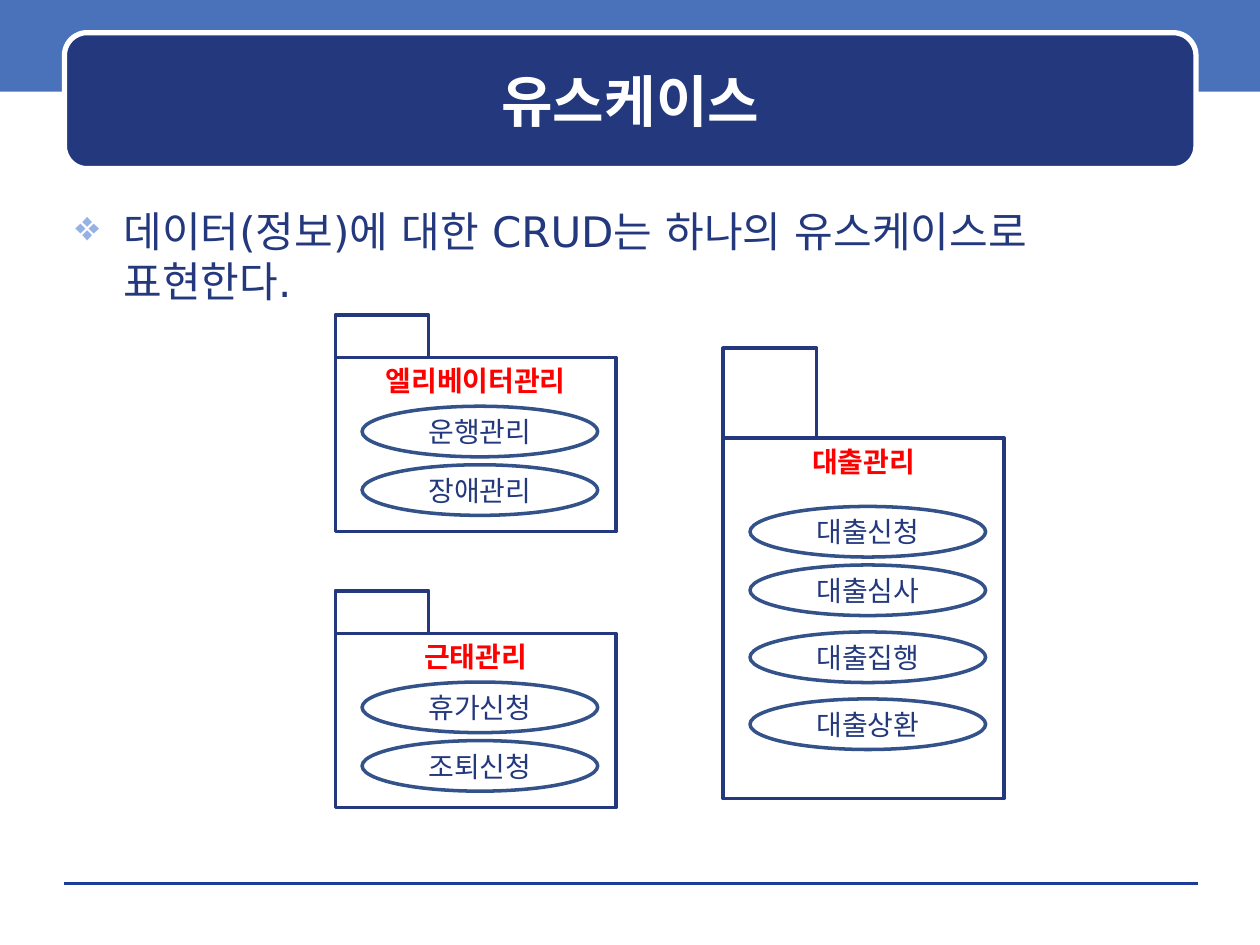
from dataclasses import dataclass

from lxml.etree import SubElement
from pptx import Presentation
from pptx.dml.color import RGBColor
from pptx.enum.shapes import MSO_CONNECTOR, MSO_SHAPE
from pptx.enum.text import MSO_ANCHOR as Anchor, PP_ALIGN as Align
from pptx.oxml.ns import qn
from pptx.util import Cm, Pt

NAVY = RGBColor(0x23, 0x38, 0x7D)
BAND_BLUE = RGBColor(0x49, 0x72, 0xBB)
RULE_BLUE = RGBColor(0x1A, 0x3D, 0x97)
OVAL_BLUE = RGBColor(0x33, 0x52, 0x89)
RED = RGBColor(0xFF, 0x00, 0x00)
WHITE = RGBColor(0xFF, 0xFF, 0xFF)
BULLET_COLOR = "96B1E6"

HEADING_FONT = "DejaVu Sans"
LABEL_FONT = "Noto Sans CJK KR"

PACKAGE_WIDTH, TAB_WIDTH = 5.66, 1.88
CASE_WIDTH, CASE_HEIGHT, CASE_INDENT = 4.75, 1.02, 0.54


@dataclass
class UseCase:
    name: str
    offset: float  # cm below the top of the package body


@dataclass
class Package:
    name: str
    left: float
    top: float
    height: float
    tab_height: float
    use_cases: list[UseCase]


PACKAGES = [
    Package("엘리베이터관리", 6.76, 7.21, 3.51, 0.86,
            [UseCase("운행관리", 0.98), UseCase("장애관리", 2.16)]),
    Package("근태관리", 6.76, 12.77, 3.51, 0.86,
            [UseCase("휴가신청", 0.98), UseCase("조퇴신청", 2.16)]),
    Package("대출관리", 14.58, 8.83, 7.27, 1.81,
            [UseCase("대출신청", 1.38), UseCase("대출심사", 2.56),
             UseCase("대출집행", 3.91), UseCase("대출상환", 5.26)]),
]


def add_box(shapes, kind, left: float, top: float, width: float, height: float,
            fill: RGBColor | None = None, line: RGBColor | None = None,
            line_width: float = 2):
    box = shapes.add_shape(kind, Cm(left), Cm(top), Cm(width), Cm(height))
    box.shadow.inherit = False
    if fill is None:
        box.fill.background()
    else:
        box.fill.solid()
        box.fill.fore_color.rgb = fill
    if line is None:
        box.line.fill.background()
    else:
        box.line.color.rgb = line
        box.line.width = Pt(line_width)
    return box


def write(box, text: str, size: float, font_name: str, color: RGBColor,
          bold: bool = False, align=Align.CENTER, anchor=Anchor.MIDDLE) -> None:
    frame = box.text_frame
    frame.word_wrap = True
    frame.vertical_anchor = anchor
    frame.text = text
    paragraph = frame.paragraphs[0]
    paragraph.alignment = align
    font = paragraph.runs[0].font
    font.size, font.name, font.bold = Pt(size), font_name, bold
    font.color.rgb = color
    # Korean text takes the East Asian typeface
    SubElement(font._element, qn("a:ea"), typeface=font_name)


def add_bullet(paragraph, symbol: str, indent: float) -> None:
    properties = paragraph._p.get_or_add_pPr()
    properties.set("marL", str(Cm(indent)))
    properties.set("indent", str(-Cm(indent)))
    color = SubElement(properties, qn("a:buClr"))
    SubElement(color, qn("a:srgbClr"), val=BULLET_COLOR)
    SubElement(properties, qn("a:buChar"), char=symbol)


def draw_package(slide, package: Package) -> None:
    shapes = slide.shapes.add_group_shape().shapes
    for case in package.use_cases:
        oval = add_box(shapes, MSO_SHAPE.OVAL, package.left + CASE_INDENT,
                       package.top + case.offset, CASE_WIDTH, CASE_HEIGHT,
                       line=OVAL_BLUE)
        oval.text_frame.margin_left = oval.text_frame.margin_right = 0
        write(oval, case.name, 16, LABEL_FONT, NAVY)
    body = add_box(shapes, MSO_SHAPE.RECTANGLE, package.left, package.top,
                   PACKAGE_WIDTH, package.height, line=NAVY)
    write(body, package.name, 16, LABEL_FONT, RED, bold=True, anchor=Anchor.TOP)
    add_box(shapes, MSO_SHAPE.RECTANGLE, package.left,
            package.top - package.tab_height, TAB_WIDTH, package.tab_height,
            line=NAVY)


def main() -> None:
    deck = Presentation()
    deck.slide_width, deck.slide_height = Cm(25.4), Cm(19.05)
    slide = deck.slides.add_slide(deck.slide_layouts[6])
    shapes = slide.shapes

    # Header band, footer rule and title plate
    add_box(shapes, MSO_SHAPE.RECTANGLE, 0, 0, 25.4, 1.85, fill=BAND_BLUE)
    rule = shapes.add_connector(MSO_CONNECTOR.STRAIGHT,
                                Cm(1.3), Cm(17.81), Cm(24.16), Cm(17.81))
    rule.line.color.rgb = RULE_BLUE
    rule.line.width = 0
    SubElement(rule._element.spPr, qn("a:effectLst"))
    add_box(shapes, MSO_SHAPE.ROUNDED_RECTANGLE, 1.3, 0.66, 22.81, 2.74,
            fill=NAVY, line=WHITE, line_width=3)

    # Title and statement
    title = shapes.add_textbox(Cm(1.52), Cm(0.89), Cm(22.38), Cm(2.24))
    write(title, "유스케이스", 32, HEADING_FONT, WHITE, bold=True)
    statement = shapes.add_textbox(Cm(1.27), Cm(4.01), Cm(22.86), Cm(13.54))
    write(statement, "데이터(정보)에 대한 CRUD는 하나의 유스케이스로 표현한다.",
          24, HEADING_FONT, NAVY, align=Align.LEFT, anchor=Anchor.TOP)
    add_bullet(statement.text_frame.paragraphs[0], "❖", 0.97)

    # Use case packages
    for package in PACKAGES:
        draw_package(slide, package)

    deck.save("out.pptx")


if __name__ == "__main__":
    main()
